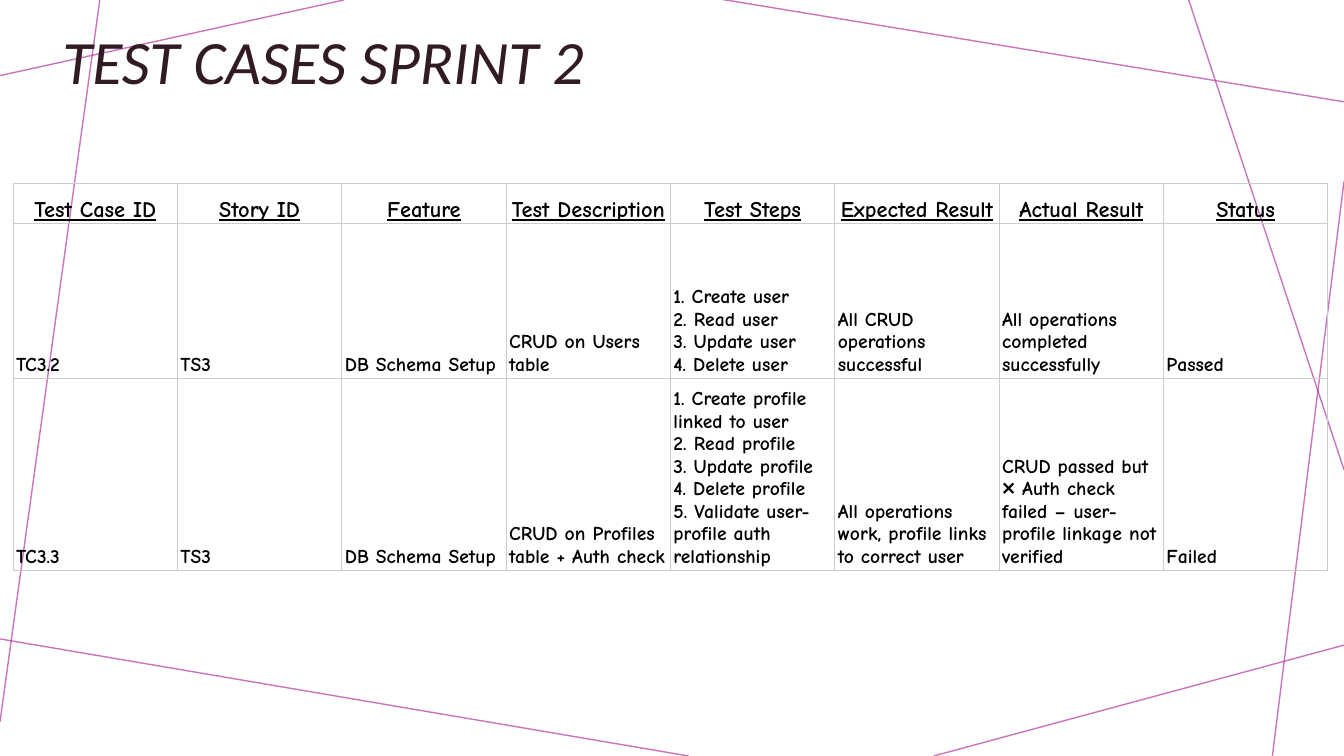
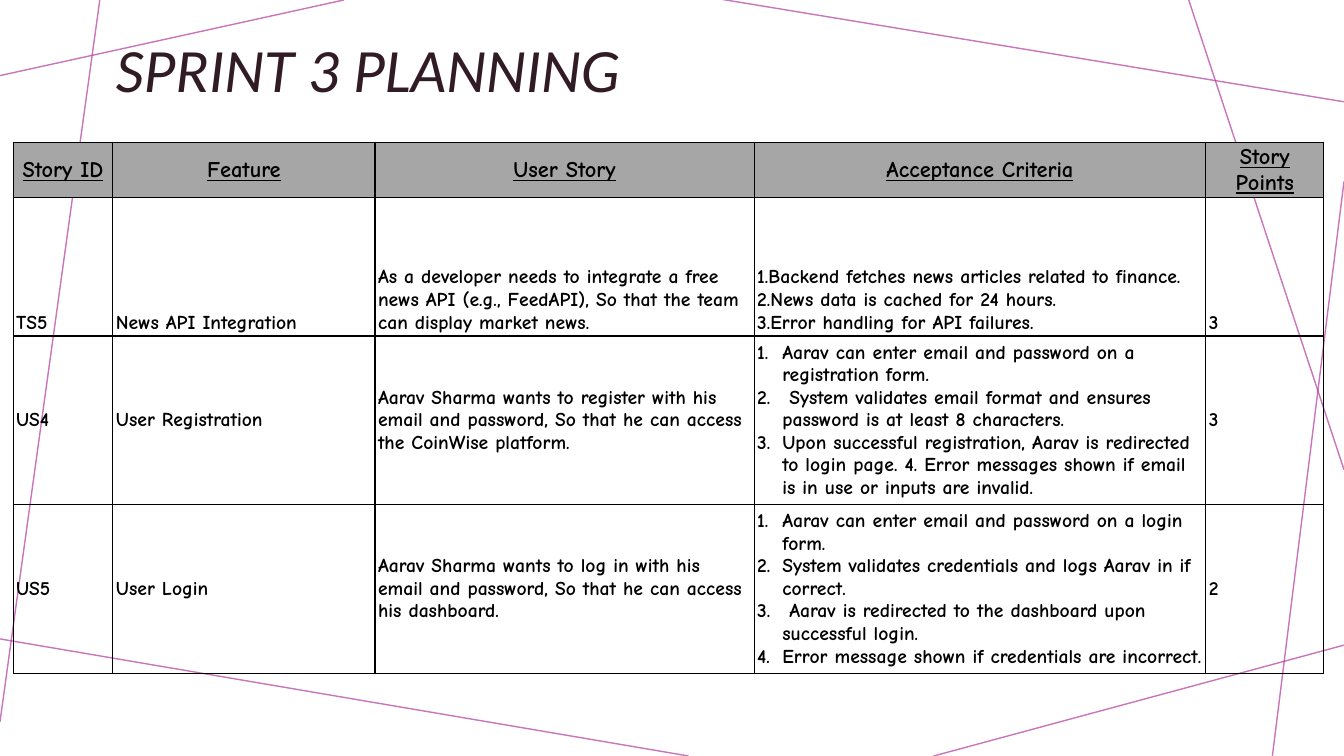
import dataclasses

import lxml.etree
import pptx
import pptx.dml.color
import pptx.enum.shapes
import pptx.enum.text
import pptx.oxml.ns
import pptx.util

Inches = pptx.util.Inches
Pt = pptx.util.Pt
RGB = pptx.dml.color.RGBColor.from_string
qn = pptx.oxml.ns.qn
Anchor = pptx.enum.text.MSO_ANCHOR
Align = pptx.enum.text.PP_ALIGN


@dataclasses.dataclass(frozen=True)
class Theme:
    accent: str = "B13B9F"
    accent_opacity: int = 70
    title_color: str = "311B25"
    ink: str = "000000"
    header_fill: str = "A6A6A6"
    light_rule: str = "CCCCCC"
    title_font: str = "Calibri"
    table_font: str = "Comic Neue"
    title_size: int = 44
    header_size: int = 16
    body_size: int = 14


THEME = Theme()

BACKGROUND_LINES = [
    (3.41, 0, 0, 0.75),
    (0.99, 0, 0, 7.16),
    (6.83, 7.5, -0.05, 6.33),
    (13.33, 6.4, 9.26, 7.5),
    (13.33, 1.8, 12.62, 7.5),
    (13.33, 4.66, 11.79, 0),
    (13.33, 1.01, 7.14, -0.01),
]

TEST_CASES = [
    ["Test Case ID", "Story ID", "Feature", "Test Description", "Test Steps",
     "Expected Result", "Actual Result", "Status"],
    ["TC3.2", "TS3", "DB Schema Setup", "CRUD on Users table",
     "1. Create user\v2. Read user\v3. Update user\v4. Delete user",
     "All CRUD operations successful", "All operations completed successfully", "Passed"],
    ["TC3.3", "TS3", "DB Schema Setup", "CRUD on Profiles table + Auth check",
     "1. Create profile linked to user\v2. Read profile\v3. Update profile\v"
     "4. Delete profile\v5. Validate user-profile auth relationship",
     "All operations work, profile links to correct user",
     "CRUD passed but ❌ Auth check failed – user-profile linkage not verified", "Failed"],
]

STORIES = [
    ["Story ID", "Feature", "User Story", "Acceptance Criteria", "Story Points"],
    ["TS5", "News API Integration",
     "As a developer needs to integrate a free news API (e.g., FeedAPI), "
     "So that the team can display market news.",
     "1.Backend fetches news articles related to finance.\v"
     "2.News data is cached for 24 hours.\v3.Error handling for API failures.", "3"],
    ["US4", "User Registration",
     "Aarav Sharma wants to register with his email and password, "
     "So that he can access the CoinWise platform.",
     ["Aarav can enter email and password on a registration form.",
      " System validates email format and ensures password is at least 8 characters.",
      "Upon successful registration, Aarav is redirected to login page. "
      "4. Error messages shown if email is in use or inputs are invalid."], "3"],
    ["US5", "User Login",
     "Aarav Sharma wants to log in with his email and password, "
     "So that he can access his dashboard.",
     ["Aarav can enter email and password on a login form.",
      "System validates credentials and logs Aarav in if correct.",
      " Aarav is redirected to the dashboard upon successful login.",
      "Error message shown if credentials are incorrect."], "2"],
]


class Deck:
    def __init__(self, theme):
        self.theme = theme
        self.presentation = pptx.Presentation()
        self.presentation.slide_width = Inches(13.33)
        self.presentation.slide_height = Inches(7.5)
        self.slide = None

    def new_slide(self):
        self.slide = self.presentation.slides.add_slide(self.presentation.slide_layouts[6])
        for ends in BACKGROUND_LINES:
            self.background_line(*ends)

    def background_line(self, *ends):
        line = self.slide.shapes.add_connector(
            pptx.enum.shapes.MSO_CONNECTOR.STRAIGHT, *(Inches(end) for end in ends))
        line.line.width = Pt(1)
        line.line.color.rgb = RGB(self.theme.accent)
        properties = line.element.spPr
        color = properties.find(".//" + qn("a:srgbClr"))
        lxml.etree.SubElement(color, qn("a:alpha"), val=str(self.theme.accent_opacity * 1000))
        lxml.etree.SubElement(properties, qn("a:effectLst"))

    def title(self, text, left, top, width, height, anchor):
        frame = self.slide.shapes.add_textbox(
            Inches(left), Inches(top), Inches(width), Inches(height)).text_frame
        frame.word_wrap = True
        frame.vertical_anchor = anchor
        heading = frame.paragraphs[0]
        heading.text = text
        heading.line_spacing = 0.9
        self.style(heading, self.theme.title_font, self.theme.title_size, self.theme.title_color)
        heading.font.italic = True

    def style(self, paragraph, font, size, color):
        paragraph.font.name = font
        paragraph.font.size = Pt(size)
        paragraph.font.color.rgb = RGB(color)

    def table(self, left, top, widths, heights, rows, anchors, rule, rule_width, header_fill=None):
        table = self.slide.shapes.add_table(
            len(rows), len(widths), Inches(left), Inches(top),
            Inches(sum(widths)), Inches(sum(heights))).table
        table.first_row = table.horz_banding = False
        for column, width in zip(table.columns, widths):
            column.width = Inches(width)
        for row, height in zip(table.rows, heights):
            row.height = Inches(height)
        for row_index, (row, anchor) in enumerate(zip(rows, anchors)):
            is_header = row_index == 0
            for column_index, content in enumerate(row):
                cell = table.cell(row_index, column_index)
                cell.vertical_anchor = anchor
                self.fill_cell(cell, header_fill if is_header else None)
                self.cell_borders(cell, rule, rule_width)
                self.cell_text(cell, content, is_header)

    def fill_cell(self, cell, color):
        if color:
            cell.fill.solid()
            cell.fill.fore_color.rgb = RGB(color)
        else:
            cell.fill.background()

    def cell_borders(self, cell, color, width):
        properties = cell._tc.get_or_add_tcPr()
        for position, side in enumerate(("lnL", "lnR", "lnT", "lnB")):
            border = lxml.etree.Element(qn("a:" + side), w=str(Pt(width)))
            fill = lxml.etree.SubElement(border, qn("a:solidFill"))
            lxml.etree.SubElement(fill, qn("a:srgbClr"), val=color)
            properties.insert(position, border)

    def cell_text(self, cell, content, is_header):
        side, edge = (0.01, 0.01) if is_header else (0.03, 0.02)
        cell.margin_left = cell.margin_right = Inches(side)
        cell.margin_top = cell.margin_bottom = Inches(edge)
        numbered = isinstance(content, list)
        cell.text_frame.text = "\n".join(content) if numbered else content
        size = self.theme.header_size if is_header else self.theme.body_size
        for paragraph in cell.text_frame.paragraphs:
            if numbered:
                self.number(paragraph)
            self.style(paragraph, self.theme.table_font, size, self.theme.ink)
            paragraph.font.bold = True
            if is_header:
                paragraph.alignment = Align.CENTER
                paragraph.font.underline = True

    def number(self, paragraph):
        properties = paragraph._p.get_or_add_pPr()
        properties.set("marL", str(Inches(0.25)))
        properties.set("indent", str(Inches(-0.25)))
        lxml.etree.SubElement(properties, qn("a:buFont"), typeface="+mj-lt")
        lxml.etree.SubElement(properties, qn("a:buAutoNum"), type="arabicPeriod")


def main():
    deck = Deck(THEME)

    deck.new_slide()
    deck.title("TEST CASES SPRINT 2", 0.52, 0.13, 11.72, 1.02, Anchor.MIDDLE)
    deck.table(0.13, 1.82, [1.63] * 8, [0.4, 1.53, 1.84], TEST_CASES,
               [Anchor.BOTTOM] * 3, THEME.light_rule, 0.75)

    deck.new_slide()
    deck.title("SPRINT 3 PLANNING", 1.05, 0.24, 10.46, 0.86, Anchor.BOTTOM)
    deck.table(0.13, 1.41, [0.99, 2.6, 3.76, 4.48, 1.17], [0.53, 1.37, 1.61, 1.61], STORIES,
               [Anchor.MIDDLE, Anchor.BOTTOM, Anchor.MIDDLE, Anchor.MIDDLE],
               THEME.ink, 1, THEME.header_fill)

    deck.presentation.save("out.pptx")


if __name__ == "__main__":
    main()
